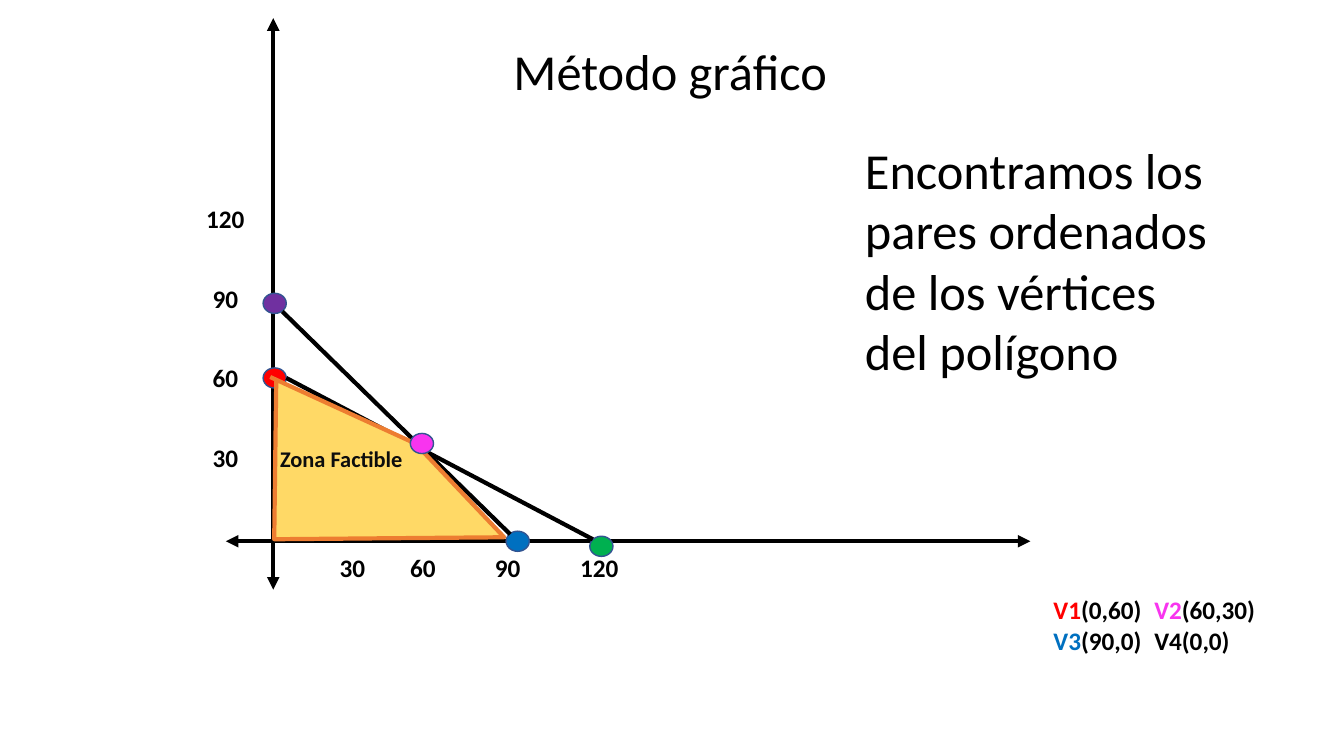
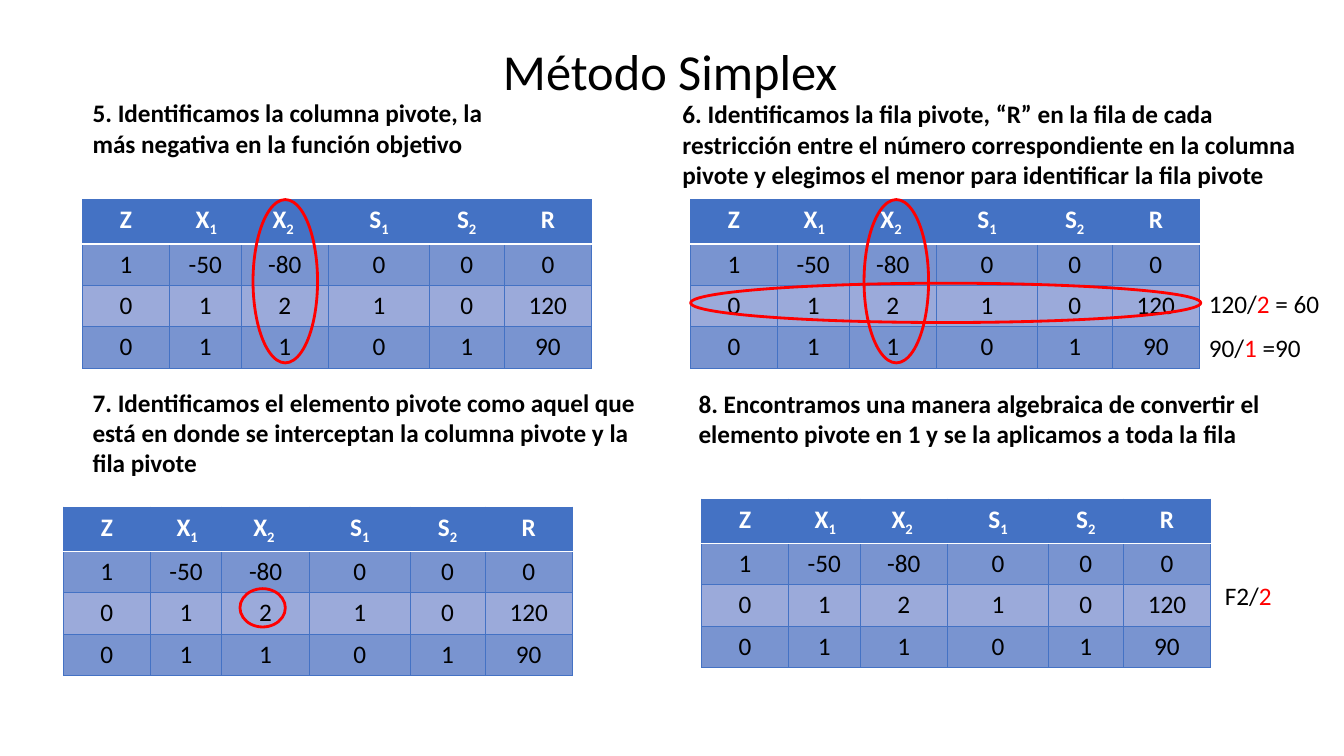
"""Build two slides on linear programming: the graphical and the simplex method."""
from dataclasses import dataclass
from typing import Any, Optional

from lxml.etree import SubElement
from pptx import Presentation
from pptx.dml.color import RGBColor
from pptx.enum.shapes import MSO_CONNECTOR, MSO_SHAPE
from pptx.enum.text import MSO_ANCHOR, MSO_AUTO_SIZE, PP_ALIGN
from pptx.oxml.ns import qn
from pptx.util import Inches, Pt

SLIDE_WIDTH, SLIDE_HEIGHT = 13.33, 7.5
BLACK, WHITE, RED, BLUE, PINK = "000000", "FFFFFF", "FF0000", "0070C0", "F834EF"
TABLE_BLUE, DARK_BAND, LIGHT_BAND = "4472C4", "7994D0", "9BAADA"
DOT_OUTLINE = "325491"
TITLE = {"size": Pt(36), "bold": False}
PLAIN = {"size": Pt(18), "bold": False}
STRONG = {"size": Pt(18), "bold": True}
ZONE = {"size": Pt(16), "bold": True}

COLUMN_WIDTHS = (0.86, 0.71, 0.87, 1, 0.74, 0.87)
ROW_HEIGHT = 0.41
TABLE_VALUES = (
    ("1", "-50", "-80", "0", "0", "0"),
    ("0", "1", "2", "1", "0", "120"),
    ("0", "1", "1", "0", "1", "90"),
)


@dataclass(frozen=True)
class Piece:
    """A run of text in one colour."""
    text: str
    color: str = BLACK
    subscript: bool = False


@dataclass(frozen=True)
class Box:
    """A place on the slide, in inches."""
    left: float
    top: float
    width: float
    height: float

    def lengths(self) -> tuple:
        """Return the four lengths for python-pptx."""
        return tuple(Inches(v) for v in (self.left, self.top, self.width, self.height))


@dataclass(frozen=True)
class Dot:
    """A coloured point of the graph."""
    left: float
    top: float
    color: str


@dataclass(frozen=True)
class Step:
    """A numbered step with its text and the corner of its table."""
    text: str
    box: Box
    table_left: float
    table_top: float
    ovals: tuple = ()


HEADER = (
    (Piece("Z", WHITE),),
    (Piece(" X", WHITE), Piece("1 ", WHITE, True)),
    (Piece("X", WHITE), Piece("2 ", WHITE, True)),
    (Piece("S", WHITE), Piece("1", WHITE, True)),
    (Piece("S", WHITE), Piece("2", WHITE, True)),
    (Piece("R", WHITE),),
)
AXIS_VALUES = ("30", "60", "90", "120")
HORIZONTAL_CENTERS = (3.5, 4.2, 5.04, 5.95)
DOTS = (
    Dot(2.61, 3.65, RED),
    Dot(5.85, 5.32, "00B050"),
    Dot(2.61, 2.91, "7030A0"),
    Dot(5.02, 5.27, BLUE),
)
CROSSING = Dot(4.07, 4.3, PINK)
ZONE_POINTS = ((2.68, 3.74), (4.12, 4.4), (5, 5.33), (2.72, 5.35), (2.74, 3.78))
VERTICES = (
    (Piece("V1", RED), Piece("(0,60)\t"), Piece("V2", PINK), Piece("(60,30)")),
    (Piece("V3", BLUE), Piece("(90,0)\tV4(0,0)")),
)
RATIOS = (
    (Piece("120/"), Piece("2", RED), Piece(" = 60")),
    (Piece("90/"), Piece("1", RED), Piece(" =90")),
)
STEPS = (
    Step("5. Identificamos la columna pivote, la más negativa en la función objetivo",
         Box(0.82, 0.92, 4.2, 0.71), 0.82, 1.98, (Box(2.51, 1.98, 0.64, 1.62),)),
    Step("6. Identificamos la fila pivote, “R” en la fila de cada restricción entre el "
         "número correspondiente en la columna pivote y elegimos el menor para "
         "identificar la fila pivote",
         Box(6.67, 0.93, 6.53, 1.01), 6.85, 1.98,
         (Box(8.57, 1.98, 0.64, 1.62), Box(6.85, 2.81, 5.06, 0.39))),
    Step("7. Identificamos el elemento pivote como aquel que está en donde se "
         "interceptan la columna pivote y la fila pivote",
         Box(0.82, 3.79, 5.84, 1.01), 0.63, 5.03, (Box(2.38, 5.84, 0.45, 0.38),)),
    Step("8. Encontramos una manera algebraica de convertir el elemento pivote en 1 y "
         "se la aplicamos a toda la fila",
         Box(6.83, 3.8, 5.84, 0.71), 6.96, 4.95),
)


def rgb(color: str) -> RGBColor:
    """Turn a hex string into a colour."""
    return RGBColor.from_string(color)


def set_values(target: Any, values: dict) -> None:
    """Set each named attribute of the target."""
    for name, value in values.items():
        setattr(target, name, value)


def write_pieces(paragraph: Any, pieces: tuple, style: dict) -> None:
    """Write coloured runs into a paragraph."""
    for piece in pieces:
        run = paragraph.add_run()
        run.text = piece.text
        set_values(run.font, {"name": "Calibri", **style})
        run.font.color.rgb = rgb(piece.color)
        if piece.subscript:
            run._r.get_or_add_rPr().set("baseline", "-25000")


def add_text(slide: Any, box: Box, lines: tuple, style: dict,
             wrap: bool = True, gap: float = 0) -> None:
    """Add a text box with one paragraph for each line."""
    frame = slide.shapes.add_textbox(*box.lengths()).text_frame
    set_values(frame, {"word_wrap": wrap, "auto_size": MSO_AUTO_SIZE.SHAPE_TO_FIT_TEXT})
    for index, pieces in enumerate(lines):
        paragraph = frame.add_paragraph() if index else frame.paragraphs[0]
        if index and gap:
            paragraph.space_before = Pt(gap)
        write_pieces(paragraph, pieces, style)


def add_title(slide: Any, text: str, width: float) -> None:
    """Add the title, centred on the slide."""
    box = Box((SLIDE_WIDTH - width) / 2, 0.35, width, 0.71)
    add_text(slide, box, ((Piece(text),),), TITLE, wrap=False)


def paint(shape: Any, fill: Optional[str], line: str, weight: float) -> None:
    """Give a shape its fill and outline, without a shadow."""
    shape.shadow.inherit = False
    if fill:
        shape.fill.solid()
        shape.fill.fore_color.rgb = rgb(fill)
    else:
        shape.fill.background()
    shape.line.color.rgb = rgb(line)
    shape.line.width = Pt(weight)


def add_oval(slide: Any, box: Box, fill: Optional[str], line: str, weight: float) -> None:
    """Add an ellipse."""
    shape = slide.shapes.add_shape(MSO_SHAPE.OVAL, *box.lengths())
    paint(shape, fill, line, weight)


def add_dot(slide: Any, dot: Dot) -> None:
    """Add a point of the graph."""
    add_oval(slide, Box(dot.left, dot.top, 0.23, 0.2), dot.color, DOT_OUTLINE, 1)


def add_line(slide: Any, start: tuple, end: tuple, arrows: bool = False) -> None:
    """Add a black line, with arrowheads at both ends if asked."""
    connector = slide.shapes.add_connector(
        MSO_CONNECTOR.STRAIGHT, *(Inches(v) for v in (*start, *end)))
    connector.line.color.rgb = rgb(BLACK)
    connector.line.width = Pt(3)
    properties = connector._element.spPr
    if arrows:
        for tag in ("a:headEnd", "a:tailEnd"):
            SubElement(properties.find(qn("a:ln")), qn(tag), type="triangle")
    SubElement(properties, qn("a:effectLst"))


def add_axis_label(slide: Any, text: str, center: float, top: float) -> None:
    """Add an axis value centred on a place."""
    width = 0.59 if len(text) == 3 else 0.46
    add_text(slide, Box(center - width / 2, top, width, 0.4), ((Piece(text),),),
             STRONG, wrap=False)


def add_zone(slide: Any) -> None:
    """Add the feasible region with its label."""
    points = [(Inches(x), Inches(y)) for x, y in ZONE_POINTS]
    builder = slide.shapes.build_freeform(*points[0], scale=1.0)
    builder.add_line_segments(points[1:], close=False)
    shape = builder.convert_to_shape()
    paint(shape, "FFD966", "ED7D31", 3)
    set_values(shape.text_frame, {"word_wrap": True, "vertical_anchor": MSO_ANCHOR.MIDDLE})
    paragraph = shape.text_frame.paragraphs[0]
    paragraph.alignment = PP_ALIGN.LEFT
    write_pieces(paragraph, (Piece("Zona Factible", "0D0D0D"),), ZONE)


def set_borders(cell: Any, row: int) -> None:
    """Draw the cell borders, with a white rule under the header."""
    white_sides = {0: "B", 1: "T"}
    properties = cell._tc.get_or_add_tcPr()
    for side in "LRTB":
        white = white_sides.get(row) == side
        border = SubElement(properties, qn(f"a:ln{side}"), w=str(Pt(1 if white else 0.5)))
        fill = SubElement(border, qn("a:solidFill"))
        SubElement(fill, qn("a:srgbClr"), val=WHITE if white else TABLE_BLUE)


def add_simplex_table(slide: Any, left: float, top: float) -> None:
    """Add the simplex table with its corner at the given place."""
    rows = (HEADER, *(tuple((Piece(v),) for v in values) for values in TABLE_VALUES))
    box = Box(left, top, sum(COLUMN_WIDTHS), ROW_HEIGHT * len(rows))
    table = slide.shapes.add_table(len(rows), len(COLUMN_WIDTHS), *box.lengths()).table
    set_values(table, {"first_row": False, "horz_banding": False})
    for column, width in zip(table.columns, COLUMN_WIDTHS):
        column.width = Inches(width)
    fills = (TABLE_BLUE, DARK_BAND, LIGHT_BAND, DARK_BAND)
    for row, (cells, fill) in enumerate(zip(rows, fills)):
        table.rows[row].height = Inches(ROW_HEIGHT)
        for column, pieces in enumerate(cells):
            cell = table.cell(row, column)
            set_borders(cell, row)
            cell.fill.solid()
            cell.fill.fore_color.rgb = rgb(fill)
            paragraph = cell.text_frame.paragraphs[0]
            paragraph.alignment = PP_ALIGN.CENTER
            write_pieces(paragraph, pieces, PLAIN if row else STRONG)


def build_graph_slide(slide: Any) -> None:
    """Draw the graphical method."""
    for index, (value, center) in enumerate(zip(AXIS_VALUES, HORIZONTAL_CENTERS)):
        add_axis_label(slide, value, 2.24, 4.34 - 0.79 * index)
        add_axis_label(slide, value, center, 5.43)
    add_text(slide, Box(10.35, 5.85, 2.24, 0.71), VERTICES, STRONG)
    add_line(slide, (2.71, 0.18), (2.71, 5.85), arrows=True)
    add_line(slide, (10.22, 5.37), (2.24, 5.37), arrows=True)
    for dot in DOTS:
        add_dot(slide, dot)
    add_line(slide, (2.84, 3.75), (5.88, 5.35))
    add_line(slide, (2.8, 3.09), (5.06, 5.3))
    add_title(slide, "Método gráfico", 3.34)
    message = Piece("Encontramos los pares ordenados de los vértices del polígono")
    add_text(slide, Box(8.48, 1.33, 3.75, 2.52), ((message,),), TITLE)
    add_zone(slide)
    add_dot(slide, CROSSING)


def build_simplex_slide(slide: Any) -> None:
    """Draw the steps of the simplex method."""
    add_title(slide, "Método Simplex", 3.55)
    for step in STEPS:
        add_text(slide, step.box, ((Piece(step.text),),), STRONG)
        add_simplex_table(slide, step.table_left, step.table_top)
        for oval in step.ovals:
            add_oval(slide, oval, None, RED, 2)
    add_text(slide, Box(11.89, 2.81, 1.31, 0.84), RATIOS, PLAIN, wrap=False, gap=10)
    add_text(slide, Box(12.05, 5.71, 0.67, 0.4), ((Piece("F2/"), Piece("2", RED)),),
             PLAIN, wrap=False)


def main() -> None:
    """Build and save the presentation."""
    presentation = Presentation()
    set_values(presentation, {"slide_width": Inches(SLIDE_WIDTH),
                              "slide_height": Inches(SLIDE_HEIGHT)})
    for build in (build_graph_slide, build_simplex_slide):
        build(presentation.slides.add_slide(presentation.slide_layouts[6]))
    presentation.save("out.pptx")


if __name__ == "__main__":
    main()
